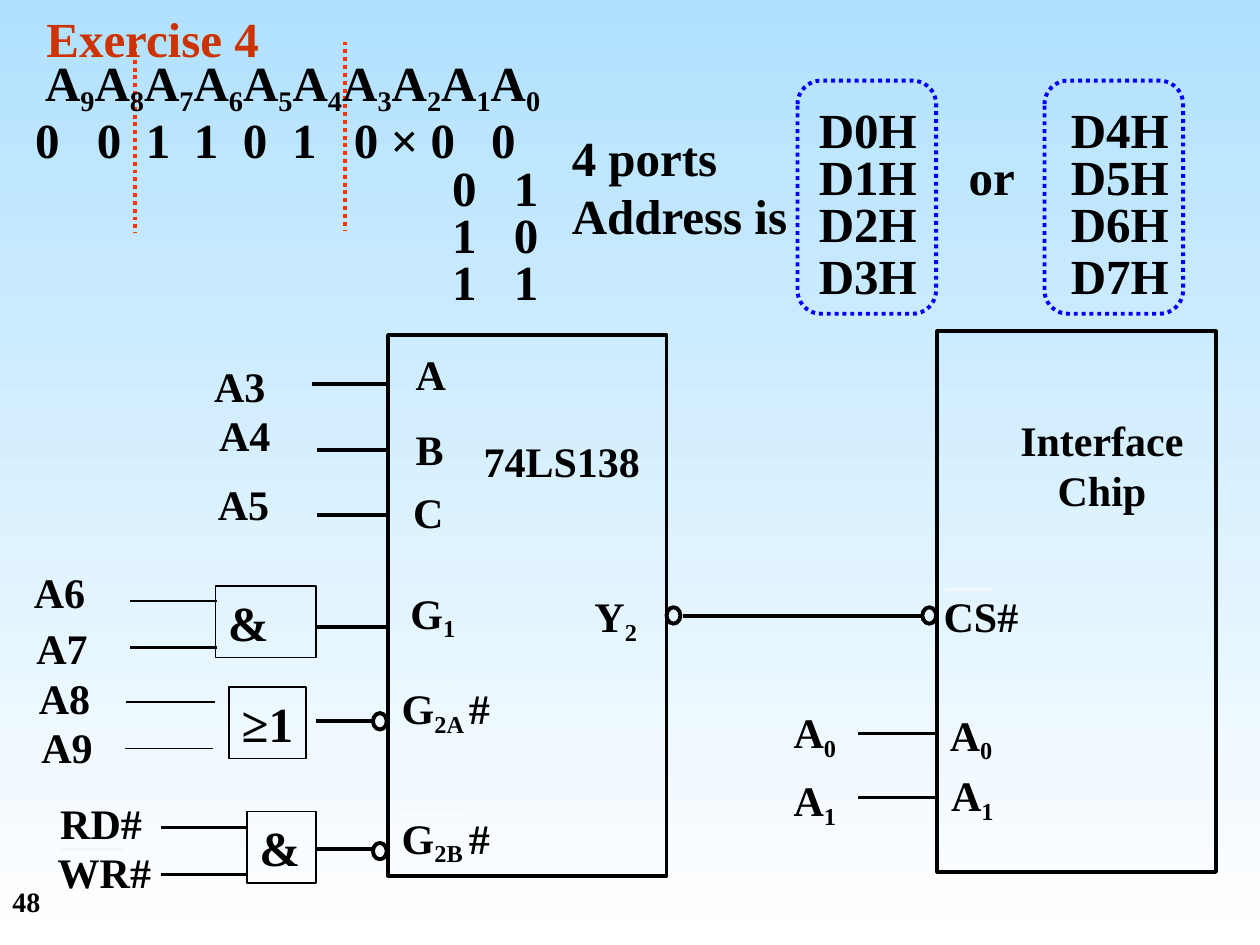
"""Build the address decoding exercise slide with its 74LS138 circuit."""
from lxml.etree import SubElement
from pptx import Presentation
from pptx.dml.color import RGBColor
from pptx.enum.dml import MSO_LINE
from pptx.enum.shapes import MSO_CONNECTOR, MSO_SHAPE
from pptx.enum.text import MSO_AUTO_SIZE, PP_ALIGN
from pptx.oxml.ns import qn
from pptx.util import Inches, Pt

BLACK = RGBColor(0x00, 0x00, 0x00)
TITLE_RED = RGBColor(0xCC, 0x33, 0x00)
DIVIDER_RED = RGBColor(0xFF, 0x33, 0x00)
BLUE = RGBColor(0x00, 0x00, 0xFF)
PALE = RGBColor(0xF0, 0xF8, 0xFE)
SKY = RGBColor(0xB1, 0xE1, 0xFF)
WHITE = RGBColor(0xFF, 0xFF, 0xFF)
FONT = "Times New Roman"

deck = Presentation()
deck.slide_width, deck.slide_height = Inches(10), Inches(7.5)
CELL = deck.slide_width / 100
page = deck.slides.add_slide(deck.slide_layouts[6])
backdrop = page.background.fill
backdrop.gradient()
backdrop.gradient_angle = 270
for stop, color in zip(backdrop.gradient_stops, (SKY, WHITE)):
    stop.color.rgb = color


def write(box, content, size, color=BLACK, wrap=False, tabs=(), align=PP_ALIGN.LEFT):
    """Fill a box with bold text; underscores switch subscript on and off."""
    frame = box.text_frame
    frame.word_wrap = wrap
    frame.auto_size = MSO_AUTO_SIZE.SHAPE_TO_FIT_TEXT
    for index, line in enumerate(content.split("\n")):
        para = frame.add_paragraph() if index else frame.paragraphs[0]
        para.alignment = align
        if tabs:
            tab_list = SubElement(para._p.get_or_add_pPr(), qn("a:tabLst"))
            for position in tabs:
                SubElement(tab_list, qn("a:tab"), pos=str(Inches(position)), algn="l")
        for order, piece in enumerate(line.split("_")):
            if piece:
                span = para.add_run()
                span.text = piece
                span.font.name, span.font.size, span.font.bold = FONT, Pt(size), True
                span.font.color.rgb = color
                if order % 2:
                    span._r.get_or_add_rPr().set("baseline", "-20000")


def outline(kind, left, top, width, height, weight, color=BLACK):
    """Add an unfilled shape placed on the cell grid."""
    shape = page.shapes.add_shape(
        kind, *(round(value * CELL) for value in (left, top, width, height)))
    shape.shadow.inherit = False
    shape.fill.background()
    shape.line.color.rgb, shape.line.width = color, Pt(weight)
    return shape


for left, top in ((30.8, 26.6), (74.4, 26.3)):
    outline(MSO_SHAPE.RECTANGLE, left, top, 22.1, 42.9, 2.25)
for left, top in ((52.9, 48.2), (73.2, 48.2), (29.6, 56.6), (29.6, 66.9)):
    outline(MSO_SHAPE.OVAL, left, top, 1.1, 1.3, 2.25)
for left in (63.3, 82.9):
    frame_line = outline(MSO_SHAPE.ROUNDED_RECTANGLE, left, 6.4, 11, 18.5, 2.25, BLUE)
    frame_line.adjustments[0] = 0.17
    frame_line.line.dash_style = MSO_LINE.ROUND_DOT
for left, top, width, symbol in ((17.1, 46.5, 8, "&"), (18.2, 54.5, 6.1, "≥1"),
                                 (19.6, 64.4, 5.5, "&")):
    gate = outline(MSO_SHAPE.RECTANGLE, left, top, width, 5.7, 1)
    write(gate, symbol, 28, wrap=symbol == "&")

level_wires = [
    (24.8, 30.8, 30.5, 2.25, BLACK), (25.2, 30.8, 35.7, 2.25, BLACK),
    (25.2, 30.8, 40.9, 2.25, BLACK), (25.1, 30.7, 49.75, 2.25, BLACK),
    (25.1, 29.6, 57.2, 2.25, BLACK), (25.1, 29.6, 67.4, 2.25, BLACK),
    (54.2, 73.3, 48.9, 2.25, BLACK),
    (10.3, 17.2, 47.7, 1.5, BLACK), (10.3, 17.2, 51.4, 1.5, BLACK),
    (10, 17.1, 55.7, 1, BLACK), (9.9, 16.9, 59.4, 1, BLACK),
    (12.8, 19.7, 65.7, 1.5, BLACK), (12.8, 19.7, 69.4, 1.5, BLACK),
    (68.1, 74.2, 58.2, 1.5, BLACK), (68.1, 74.2, 63.3, 1.5, BLACK),
    (31.9, 37, 64.3, 1.5, PALE), (31.2, 36.4, 54, 1.5, PALE),
    (5.3, 10.5, 63.2, 1.5, PALE), (4.8, 10, 67.4, 1.5, PALE),
    (75, 78.7, 46.8, 1.5, PALE),
]
wires = [(start, row, end, row, weight, color)
         for start, end, row, weight, color in level_wires]
wires += [(column, top, column, top + 15, 2.25, DIVIDER_RED)
          for column, top in ((27.4, 3.3), (10.7, 3.5))]
for *ends, weight, color in wires:
    wire = page.shapes.add_connector(
        MSO_CONNECTOR.STRAIGHT, *(round(value * CELL) for value in ends))
    wire.line.color.rgb, wire.line.width = color, Pt(weight)
    if color == DIVIDER_RED:
        wire.line.dash_style = MSO_LINE.ROUND_DOT
    SubElement(wire._element.spPr, qn("a:effectLst"))

pins = [
    (46.2, 46.4, 5.6, "Y_2"), (32, 27.2, 4.4, "A"), (32, 33.1, 4.2, "B"),
    (31.8, 38.1, 4.4, "C"), (37.4, 34.1, 14.6, "74LS138"),
    (16, 28.1, 6.1, "A3"), (16.4, 32, 6.1, "A4"), (16.3, 37.5, 6.1, "A5"),
    (1.7, 44.5, 6.1, "A6"), (1.9, 48.9, 6.1, "A7"),
    (2.1, 52.9, 6.1, "A8"), (2.3, 56.8, 6.1, "A9"),
    (31.6, 46.1, 6, "G_1"), (30.9, 53.7, 9.3, "G_2A _#"), (30.9, 64, 9.3, "G_2B _#"),
    (3.8, 62.8, 8.7, "RD#"), (3.6, 66.7, 9.6, "WR#"), (73.9, 46.4, 8.1, "CS#"),
    (74.4, 55.8, 5.6, "A_0"), (74.5, 60.6, 5.6, "A_1"),
    (62, 55.6, 5.6, "A_0"), (62, 61, 5.6, "A_1"),
]
texts = [(left, top, width, 5.3 if "_" in label else 5, label, 24, {})
         for left, top, width, label in pins]

address_lines = "_".join(f"A_{bit}" for bit in range(9, -1, -1))
bit_tabs = (0.49, 0.88, 1.26, 1.65, 2.04, 2.53, 3.62)
texts += [
    (0, 69.7, 20.8, 5, "48", 16, {"wrap": True}),
    (2.7, 0.2, 29.5, 5.7, "Exercise 4", 28, {"wrap": True, "color": TITLE_RED}),
    (2.6, 3.7, 41.5, 6.3, address_lines, 28, {}),
    (1.8, 8.2, 43.5, 5.7, "0\t0\t1\t1\t0\t1\t0 × 0\t0", 28,
     {"wrap": True, "tabs": bit_tabs}),
    (44.4, 9.6, 19.3, 10.4, "4 ports\nAddress is", 28, {}),
    (79, 32.4, 16.9, 9, "Interface\nChip", 24, {"align": PP_ALIGN.CENTER}),
]
texts += [(34.9, 12 + 3.75 * row, 10.3, 5.7, bits, 28, {"wrap": True, "tabs": (0.49,)})
          for row, bits in enumerate(("0\t1", "1\t0", "1\t1"))]
texts += [(64, top, 31.3, 5.7, f"D{port}H\t{'or' if port == 1 else ''}\tD{port + 4}H", 28,
           {"wrap": True, "tabs": (1.19, 2)})
          for port, top in enumerate((7.4, 11.1, 14.9, 19))]
for *place, content, size, options in texts:
    box = page.shapes.add_textbox(*(round(value * CELL) for value in place))
    write(box, content, size, **options)

deck.save("out.pptx")
